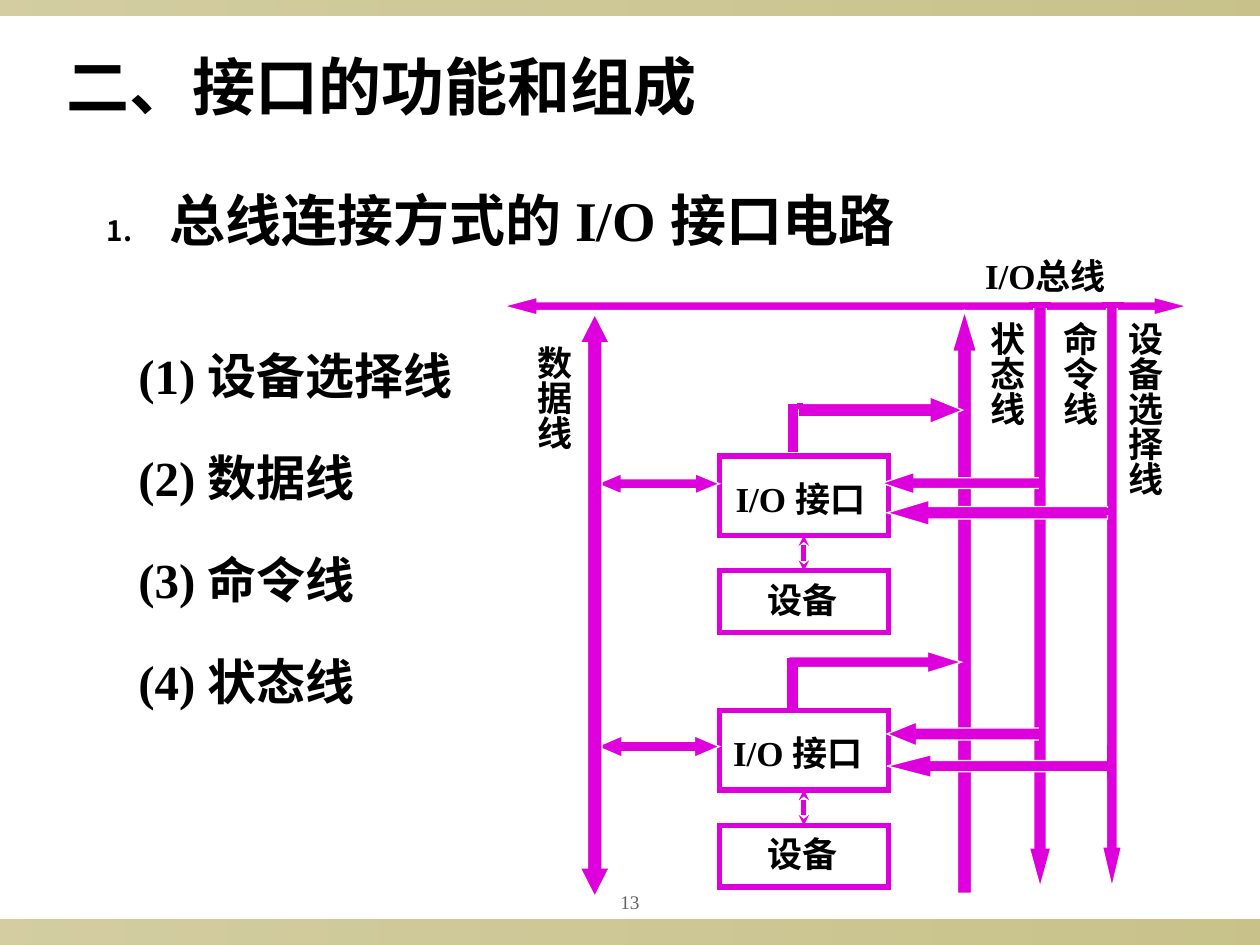
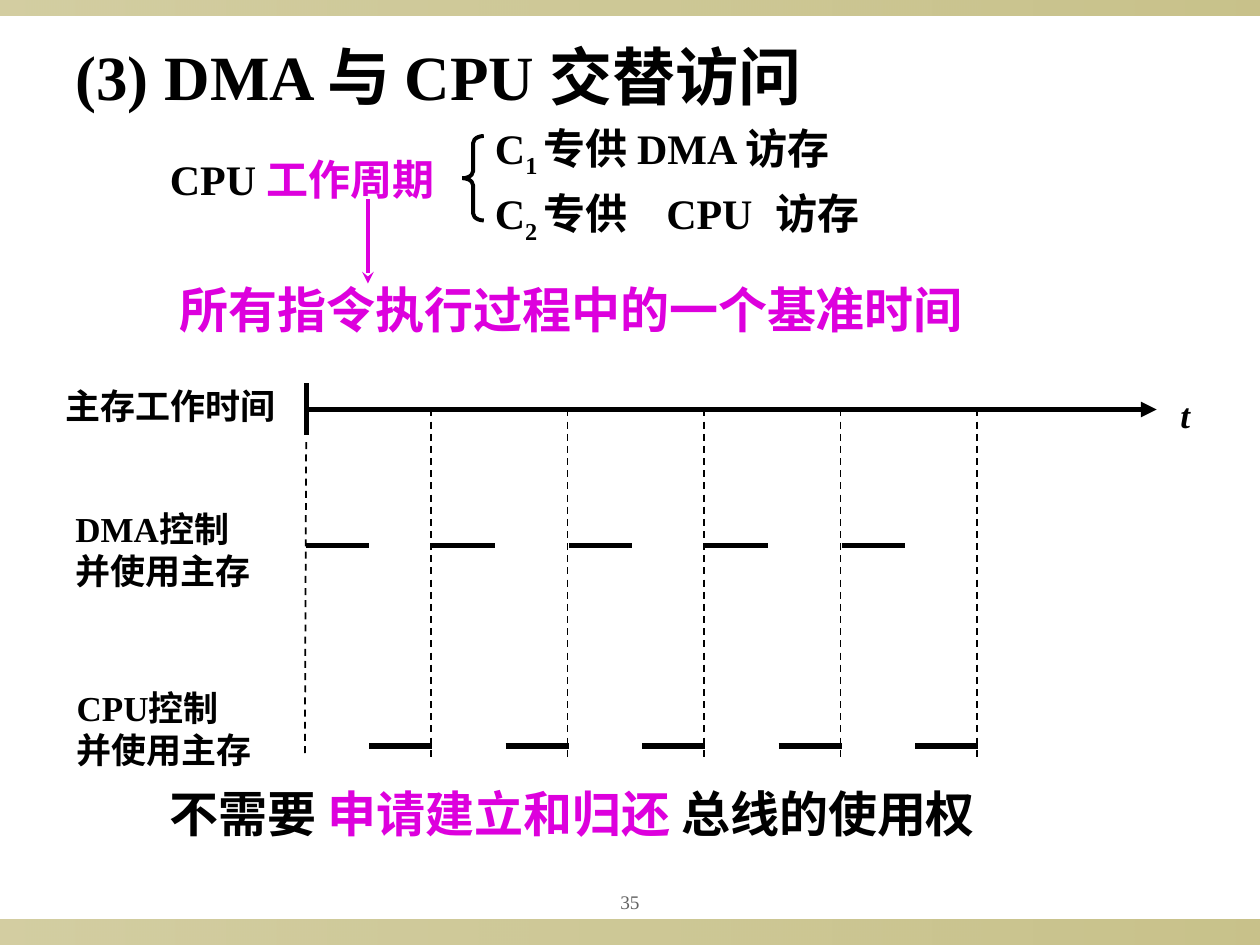
import pptx
import pptx.dml.color
import pptx.enum.dml
import pptx.enum.shapes
import pptx.enum.text
import pptx.oxml.ns
import pptx.util
from lxml import etree

Inches, Pt = pptx.util.Inches, pptx.util.Pt
MSO = pptx.enum.shapes.MSO_SHAPE
qn = pptx.oxml.ns.qn
rgb = pptx.dml.color.RGBColor.from_string

FONT = "Times New Roman"
BLACK, MAGENTA, EDGE = "000000", "DD00DD", "FFFFF4"
GREY, OLIVE = "636363", "918415"


def text(s, x, y, w, h, runs, size=20, color=BLACK, bold=True, italic=False,
         vert=False, center=False, number=False, tabs=()):
    """Add a text box; runs is a string or a list of (string, format) pairs."""
    sp = s.shapes.add_textbox(Inches(x), Inches(y), Inches(w), Inches(h))
    tf = sp.text_frame
    tf.word_wrap = True
    if vert:
        tf._txBody.bodyPr.set("vert", "eaVert")
        tf.margin_left = tf.margin_right = Inches(0.05)
        tf.margin_top = tf.margin_bottom = Inches(0.1)
    p = tf.paragraphs[0]
    if center:
        p.alignment = pptx.enum.text.PP_ALIGN.CENTER
        tf.vertical_anchor = pptx.enum.text.MSO_ANCHOR.MIDDLE
    pPr = p._p.get_or_add_pPr()
    if number:
        pPr.set("marL", str(Inches(0.5)))
        pPr.set("indent", str(-Inches(0.5)))
        clr = etree.SubElement(pPr, qn("a:buClr"))
        etree.SubElement(clr, qn("a:srgbClr"), val=color)
        etree.SubElement(pPr, qn("a:buSzPct"), val="50000")
        etree.SubElement(pPr, qn("a:buAutoNum"), type="arabicPeriod")
    if tabs:
        tab_list = etree.SubElement(pPr, qn("a:tabLst"))
        for pos in tabs:
            etree.SubElement(tab_list, qn("a:tab"), pos=str(Inches(pos)), algn="l")
    if isinstance(runs, str):
        runs = [(runs, {})]
    for words, fmt in runs:
        for i, row in enumerate(words.split("\n")):
            if i:
                p = tf.add_paragraph()
            r = p.add_run()
            r.text = row
            r.font.name = FONT
            r.font.size = Pt(size)
            r.font.bold = bold
            r.font.italic = italic
            r.font.color.rgb = rgb(fmt.get("color", color))
            if fmt.get("sub"):
                r._r.get_or_add_rPr().set("baseline", "-25000")


def shape(s, kind, x, y, w, h, fill=None, line=None, width=0.75, adj=()):
    sp = s.shapes.add_shape(kind, Inches(x), Inches(y), Inches(w), Inches(h))
    sp.shadow.inherit = False
    for i, value in enumerate(adj):
        sp.adjustments[i] = value
    if fill:
        sp.fill.solid()
        sp.fill.fore_color.rgb = rgb(fill)
    else:
        sp.fill.background()
    if line:
        sp.line.color.rgb = rgb(line)
        sp.line.width = Pt(width)
        etree.SubElement(sp.line._get_or_add_ln(), qn("a:miter"), lim="800000")
    else:
        sp.line.fill.background()
    return sp


prs = pptx.Presentation()
prs.slide_width, prs.slide_height = Inches(10), Inches(7.5)

# Shared bands and page numbers
for page in ("13", "35"):
    s = prs.slides.add_slide(prs.slide_layouts[6])
    for y, h in ((7.3, 0.2), (0, 0.12)):
        band = shape(s, MSO.RECTANGLE, 0, y, 10, h)
        band.fill.gradient()
        band.fill.gradient_angle = 0
        for stop in band.fill.gradient_stops:
            stop.color.rgb = rgb(OLIVE)
        for clr, alpha in zip(band._element.spPr.iter(qn("a:srgbClr")), ("40000", "50000")):
            etree.SubElement(clr, qn("a:alpha"), val=alpha)
    text(s, 4.5, 7, 1, 0.31, page, size=11, color=GREY, bold=False, center=True)
bus, dma = prs.slides
lines = []  # slide, x1, y1, x2, y2, colour, width, head, tail, dashed

# Slide 1: bus-connected I/O interface
text(bus, 0.43, 0.33, 5.6, 0.7, "二、接口的功能和组成", size=36)
text(bus, 0.75, 1.42, 6.9, 0.64, "总线连接方式的 I/O 接口电路", size=32, number=True)
for i, name in enumerate(("设备选择线", "数据线", "命令线", "状态线")):
    text(bus, 1, 2.69 + 0.81 * i, 3, 0.57, f"({i + 1}) {name}", size=28)

joints = {}
for top, label_x in ((3.62, 5.74), (5.64, 5.72)):
    interface = shape(bus, MSO.RECTANGLE, 5.71, top, 1.34, 0.63, line=MAGENTA, width=3)
    device = shape(bus, MSO.RECTANGLE, 5.71, top + 0.91, 1.34, 0.49, line=MAGENTA, width=3)
    text(bus, label_x, top + 0.12, 1.5, 0.44, "I/O 接口")
    text(bus, 5.99, top + 0.92, 0.95, 0.44, "设备")
    joints[len(lines)] = device, interface
    lines.append((bus, 6.38, top + 0.91, 6.38, top + 0.63, MAGENTA, 3, "stealth", "stealth", False))

for kind, x, y, w, h, ratio, head in (
    (MSO.LEFT_RIGHT_ARROW, 4, 2.36, 5.42, 0.14, 0.5, 1.87),
    (MSO.UP_ARROW, 7.56, 2.47, 0.19, 4.62, 0.58, 1.67),
    (MSO.DOWN_ARROW, 8.17, 2.42, 0.17, 4.62, 0.58, 1.82),
    (MSO.DOWN_ARROW, 8.75, 2.42, 0.15, 4.62, 0.58, 2.12),
    (MSO.LEFT_ARROW, 7.04, 5.73, 1.23, 0.19, 0.5, 1.23),
    (MSO.LEFT_ARROW, 7.04, 5.99, 1.77, 0.18, 0.5, 1.94),
    (MSO.LEFT_ARROW, 7, 3.75, 1.29, 0.17, 0.5, 1.49),
    (MSO.LEFT_ARROW, 7.04, 3.97, 1.75, 0.2, 0.5, 1.67),
    (MSO.RIGHT_ARROW, 6.26, 5.17, 1.37, 0.17, 0.5, 1.58),
    (MSO.RIGHT_ARROW, 6.3, 3.15, 1.34, 0.21, 0.5, 1.23),
    (MSO.LEFT_RIGHT_ARROW, 4.74, 3.76, 0.97, 0.16, 0.5, 1.2),
    (MSO.LEFT_RIGHT_ARROW, 4.74, 5.84, 0.97, 0.17, 0.5, 1.16),
):
    shape(bus, kind, x, y, w, h, MAGENTA, EDGE, adj=(ratio, head))
data_line = shape(bus, MSO.LEFT_RIGHT_ARROW, 2.41, 4.69, 4.62, 0.23, MAGENTA, EDGE,
                  adj=(0.5, 0.98))
data_line.rotation = 90

# Elbows and joints that close the gaps between arrows
shape(bus, MSO.RECTANGLE, 6.25, 3.2, 0.09, 0.39, MAGENTA, EDGE)
for x, y, w, h in (
    (6.25, 5.23, 0.08, 0.39), (8.25, 3.75, 0.04, 0.17), (8.75, 4.04, 0.08, 0.04),
    (8.17, 2.4, 0.17, 0.04), (8.75, 2.4, 0.17, 0.04), (8.25, 5.67, 0.04, 0.25),
    (8.79, 5.92, 0.04, 0.25), (6.33, 3.2, 0.04, 0.04),
):
    shape(bus, MSO.RECTANGLE, x, y, w, h, MAGENTA, MAGENTA)

text(bus, 7.72, 1.97, 1.5, 0.44, "I/O总线")
for x, y, h, name in (
    (4.08, 2.64, 1.2, "数据线"), (8.26, 2.45, 1.2, "命令线"),
    (7.68, 2.45, 1.2, "状态线"), (8.77, 2.45, 1.75, "设备选择线"),
):
    text(bus, x, y, 0.53, h, name, vert=True)

# Slide 2: DMA and CPU take turns
text(dma, 0.5, 0.25, 6.92, 0.7, "(3) DMA 与 CPU 交替访问", size=36)
text(dma, 1.25, 1.17, 2.52, 0.5, [("CPU ", {}), ("工作周期", {"color": MAGENTA})], size=24)
text(dma, 3.83, 0.92, 4.42, 0.56, [("C", {}), ("1 ", {"sub": True}), ("专供 DMA 访存", {})],
     size=24)
text(dma, 3.83, 1.44, 3.83, 0.56, [("C", {}), ("2 ", {"sub": True}), ("专供\tCPU\t访存", {})],
     size=24, tabs=(1.36, 2.23))
shape(dma, MSO.LEFT_BRACE, 3.67, 1.08, 0.17, 0.67, line=BLACK, width=2.25, adj=(0.33, 0.5))
text(dma, 1.33, 2.17, 7.6, 0.57, "所有指令执行过程中的一个基准时间", size=28, color=MAGENTA)
text(dma, 1.25, 6.17, 8.03, 0.57,
     [("不需要 ", {}), ("申请建立和归还 ", {"color": MAGENTA}), ("总线的使用权", {})], size=28)

text(dma, 0.42, 3, 2, 0.44, "主存工作时间")
text(dma, 0.5, 3.98, 1.8, 0.77, "DMA控制\n并使用主存")
text(dma, 0.51, 5.4, 1.8, 0.77, "CPU控制\n并使用主存")
text(dma, 9.27, 3.07, 0.4, 0.44, "t", italic=True)

lines += [
    (dma, 2.92, 1.58, 2.92, 2.25, MAGENTA, 2.25, None, "stealth", False),
    (dma, 2.43, 3.04, 2.43, 3.45, BLACK, 3, None, None, False),
    (dma, 2.43, 3.25, 9.18, 3.25, BLACK, 3, None, "triangle", False),
    (dma, 2.43, 3.51, 2.42, 5.98, BLACK, 1, None, None, True),
]
ticks = [3.42 + i * 13 / 12 for i in range(5)]
dma_starts = [2.43] + [x + 0.01 for x in ticks[:-1]]
for tick, dma_x in zip(ticks, dma_starts):
    cpu_x = tick - 0.49
    lines += [
        (dma, tick, 3.25, tick, 6.01, BLACK, 1, None, None, True),
        (dma, dma_x, 4.33, dma_x + 0.5, 4.33, BLACK, 3, None, None, False),
        (dma, cpu_x, 5.92, cpu_x + 0.5, 5.92, BLACK, 3, None, None, False),
    ]

# Straight lines of both slides
for i, (s, x1, y1, x2, y2, color, width, head, tail, dashed) in enumerate(lines):
    cn = s.shapes.add_connector(pptx.enum.shapes.MSO_CONNECTOR.STRAIGHT,
                                Inches(x1), Inches(y1), Inches(x2), Inches(y2))
    cn.line.color.rgb = rgb(color)
    cn.line.width = Pt(width)
    if dashed:
        cn.line.dash_style = pptx.enum.dml.MSO_LINE.DASH
    head_size = "sm" if head else "med"
    for tag, end in (("a:headEnd", head), ("a:tailEnd", tail)):
        if end:
            etree.SubElement(cn.line._get_or_add_ln(), qn(tag), type=end,
                             w=head_size, len=head_size)
    etree.SubElement(cn._element.spPr, qn("a:effectLst"))
    if i in joints:
        device, interface = joints[i]
        cn.begin_connect(device, 0)
        cn.end_connect(interface, 2)

prs.save("out.pptx")
